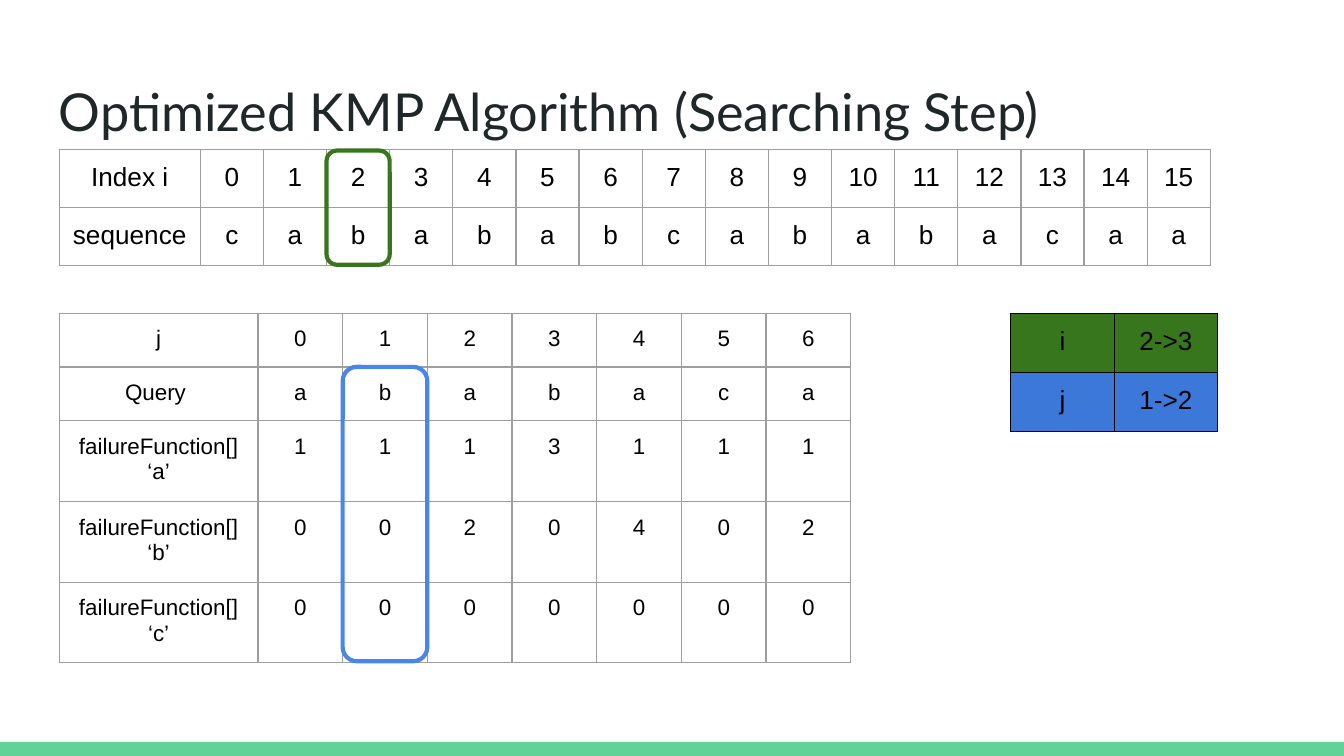
"""Build the slide on the searching step of the optimized KMP algorithm."""

from dataclasses import dataclass

from lxml import etree
from pptx import Presentation
from pptx.dml.color import RGBColor
from pptx.enum.shapes import MSO_SHAPE
from pptx.enum.text import MSO_ANCHOR, PP_ALIGN
from pptx.oxml.ns import qn
from pptx.slide import Slide
from pptx.table import _Cell
from pptx.text.text import TextFrame
from pptx.util import Inches, Pt

RECTANGLE = MSO_SHAPE.RECTANGLE
ROUNDED_RECTANGLE = MSO_SHAPE.ROUNDED_RECTANGLE
LEFT, CENTER = PP_ALIGN.LEFT, PP_ALIGN.CENTER
TOP = MSO_ANCHOR.TOP
COLORS = {
    "title": "202729",
    "text": "000000",
    "grid": "9E9E9E",
    "footer": "63D297",
    "index": "38761D",
    "query": "3C78D8",
    "query_outline": "4A86E8",
}
MARGIN = Inches(0.1)
SLIDE_WIDTH = Inches(10)
SLIDE_HEIGHT = SLIDE_WIDTH * 9 // 16
FRAME_SIDE = Inches(3.28)


@dataclass(frozen=True)
class Grid:
    left: float
    top: float
    columns: list[float]
    rows: list[float]
    texts: list[list[str]]
    size: int
    border: str = "grid"
    row_fills: tuple[str, ...] = ()


@dataclass(frozen=True)
class Highlight:
    left: float
    top: float
    width: float
    height: float
    color: str


GRIDS = [
    Grid(0.44, 1.11, [1.05] + [0.47] * 16, [0.42] * 2,
         [["Index i", *map(str, range(16))], ["sequence", *"cabababcababacaa"]], 14),
    Grid(7.52, 2.33, [0.77] * 2, [0.44] * 2,
         [["i", "2->3"], ["j", "1->2"]], 14, "text", ("index", "query")),
    Grid(0.44, 2.33, [1.48] + [0.63] * 7, [0.32, 0.31] + [0.48] * 3,
         [
             ["j", *"0123456"],
             ["Query ", *"ababaca"],
             ["failureFunction[] ‘a’", *"1113111"],
             ["failureFunction[] ‘b’", *"0020402"],
             ["failureFunction[] ‘c’", *"0000000"],
         ], 12),
]
HIGHLIGHTS = [
    Highlight(2.43, 1.12, 0.47, 0.85, "index"),
    Highlight(2.55, 2.73, 0.63, 2.19, "query_outline"),
]


def rgb(name: str) -> RGBColor:
    """Return the named colour."""
    return RGBColor.from_string(COLORS[name])


def write_text(frame: TextFrame, text: str, *, size: int, font: str = "Arial",
               color: str = "text", alignment: PP_ALIGN = CENTER) -> None:
    """Write one formatted paragraph."""
    paragraph = frame.paragraphs[0]
    paragraph.alignment = alignment
    run = paragraph.add_run()
    run.text = text
    run.font.name = font
    run.font.size = Pt(size)
    run.font.bold = False
    run.font.color.rgb = rgb(color)


def add_borders(cell: _Cell, color: str) -> None:
    """Draw a thin line on every side of a cell."""
    properties = cell._tc.get_or_add_tcPr()
    for side in ("a:lnL", "a:lnR", "a:lnT", "a:lnB"):
        line = etree.SubElement(properties, qn(side), w=str(Pt(0.75)))
        fill = etree.SubElement(line, qn("a:solidFill"))
        etree.SubElement(fill, qn("a:srgbClr"), val=COLORS[color])


def add_grid(slide: Slide, grid: Grid) -> None:
    """Add a bordered table with centred text."""
    graphic_frame = slide.shapes.add_table(
        len(grid.rows), len(grid.columns), Inches(grid.left), Inches(grid.top),
        FRAME_SIDE, FRAME_SIDE)
    table = graphic_frame.table
    table.first_row = False
    table.horz_banding = False
    for column, width in zip(table.columns, grid.columns):
        column.width = Inches(width)
    for row_index, (row, height) in enumerate(zip(table.rows, grid.rows)):
        row.height = Inches(height)
        for cell, text in zip(row.cells, grid.texts[row_index]):
            cell.margin_left = cell.margin_right = MARGIN
            cell.margin_top = cell.margin_bottom = MARGIN
            add_borders(cell, grid.border)
            if grid.row_fills:
                cell.fill.solid()
                cell.fill.fore_color.rgb = rgb(grid.row_fills[row_index])
            else:
                cell.fill.background()
            write_text(cell.text_frame, text, size=grid.size)
    graphic_frame.width = graphic_frame.height = FRAME_SIDE


def add_highlight(slide: Slide, highlight: Highlight) -> None:
    """Add a rounded outline around a table column."""
    shape = slide.shapes.add_shape(
        ROUNDED_RECTANGLE, Inches(highlight.left), Inches(highlight.top),
        Inches(highlight.width), Inches(highlight.height))
    shape.shadow.inherit = False
    shape.fill.background()
    shape.line.color.rgb = rgb(highlight.color)
    shape.line.width = Pt(2.25)


def add_footer(slide: Slide) -> None:
    """Add the coloured bar along the bottom edge."""
    top = Inches(5.52)
    shape = slide.shapes.add_shape(
        RECTANGLE, Inches(0), top, SLIDE_WIDTH, SLIDE_HEIGHT - top)
    shape.shadow.inherit = False
    shape.fill.solid()
    shape.fill.fore_color.rgb = rgb("footer")
    shape.line.fill.background()


def add_title(slide: Slide, text: str) -> None:
    """Add the slide title."""
    frame = slide.shapes.add_textbox(
        Inches(0.34), Inches(0.49), Inches(9.32), Inches(0.63)).text_frame
    frame.word_wrap = True
    frame.vertical_anchor = TOP
    frame.margin_left = frame.margin_right = MARGIN
    frame.margin_top = frame.margin_bottom = MARGIN
    write_text(frame, text, size=28, font="Lato", color="title", alignment=LEFT)


def main() -> None:
    """Build and save the presentation."""
    presentation = Presentation()
    presentation.slide_width = SLIDE_WIDTH
    presentation.slide_height = SLIDE_HEIGHT
    slide = presentation.slides.add_slide(presentation.slide_layouts[6])
    add_footer(slide)
    add_title(slide, "Optimized KMP Algorithm (Searching Step)")
    for grid in GRIDS:
        add_grid(slide, grid)
    for highlight in HIGHLIGHTS:
        add_highlight(slide, highlight)
    presentation.save("out.pptx")


if __name__ == "__main__":
    main()
